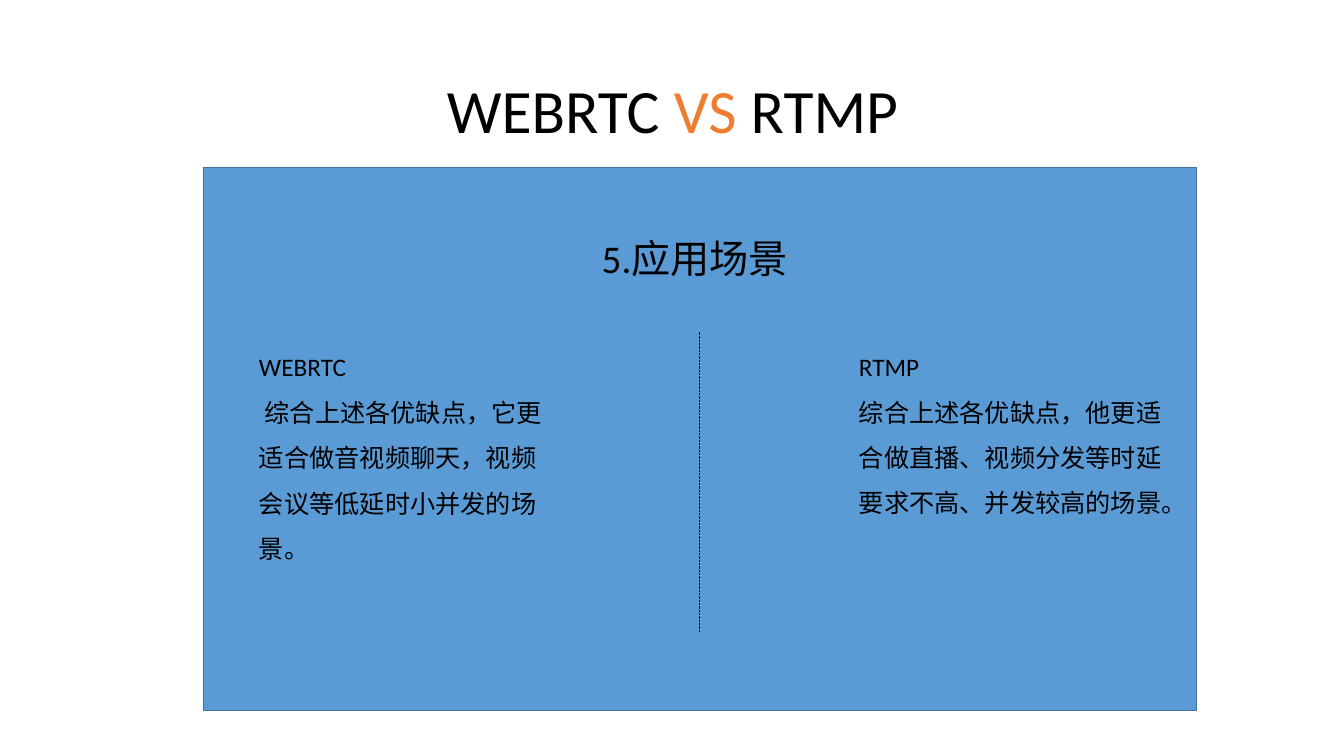
from lxml.etree import SubElement
from pptx import Presentation
from pptx.dml.color import RGBColor
from pptx.enum.dml import MSO_LINE
from pptx.enum.shapes import MSO_CONNECTOR, MSO_SHAPE
from pptx.enum.text import MSO_ANCHOR, MSO_AUTO_SIZE, PP_ALIGN
from pptx.oxml.ns import qn
from pptx.util import Inches, Pt

COLORS = {"panel": "5B9BD5", "border": "43729D", "text": "000000", "accent": "ED7D31"}


def add_run(p, text, size=18, color="text"):
    r = p.add_run()
    r.text = text
    r.font.name = "Calibri"
    r.font.size = Pt(size)
    r.font.color.rgb = RGBColor.from_string(COLORS[color])


prs = Presentation()
prs.slide_width, prs.slide_height = Inches(13.33), Inches(7.5)
s = prs.slides.add_slide(prs.slide_layouts[5])

panel = s.shapes.add_shape(MSO_SHAPE.RECTANGLE, Inches(2.02), Inches(1.66), Inches(9.85), Inches(5.39))
panel.shadow.inherit = False
panel.fill.solid()
panel.fill.fore_color.rgb = RGBColor.from_string(COLORS["panel"])
panel.line.color.rgb = RGBColor.from_string(COLORS["border"])
panel.line.width = Pt(1)

title = s.shapes.title
title.left, title.top, title.width, title.height = Inches(0.92), Inches(0.4), Inches(11.5), Inches(1.45)
title.text_frame.vertical_anchor = MSO_ANCHOR.MIDDLE
p = title.text_frame.paragraphs[0]
p.alignment = PP_ALIGN.CENTER
p.line_spacing = 0.9
for text, color in [("WEBRTC ", "text"), ("VS", "accent"), (" RTMP", "text")]:
    add_run(p, text, size=44, color=color)

heading = s.shapes.add_textbox(Inches(5.87), Inches(2.28), Inches(2.14), Inches(0.57))
tf = heading.text_frame
tf.word_wrap = False
tf.auto_size = MSO_AUTO_SIZE.SHAPE_TO_FIT_TEXT
add_run(tf.paragraphs[0], "5.应用场景", size=28)

columns = [
    (2.47, 3.11, 2.35, "WEBRTC", " 综合上述各优缺点，它更适合做音视频聊天，视频会议等低延时小并发的场景。"),
    (8.42, 3.23, 1.9, "RTMP", "综合上述各优缺点，他更适合做直播、视频分发等时延要求不高、并发较高的场景。"),
]
for left, width, height, name, usage in columns:
    box = s.shapes.add_textbox(Inches(left), Inches(3.29), Inches(width), Inches(height))
    tf = box.text_frame
    tf.word_wrap = True
    tf.auto_size = MSO_AUTO_SIZE.SHAPE_TO_FIT_TEXT
    for p, text in [(tf.paragraphs[0], name), (tf.add_paragraph(), usage)]:
        p.line_spacing = 1.5
        add_run(p, text)

divider = s.shapes.add_connector(MSO_CONNECTOR.STRAIGHT, Inches(6.94), Inches(6.27), Inches(6.94), Inches(3.29))
divider.line.color.rgb = RGBColor.from_string(COLORS["text"])
divider.line.width = Pt(0.5)
divider.line.dash_style = MSO_LINE.ROUND_DOT
SubElement(divider._element.spPr, qn("a:effectLst"))

prs.save("out.pptx")
